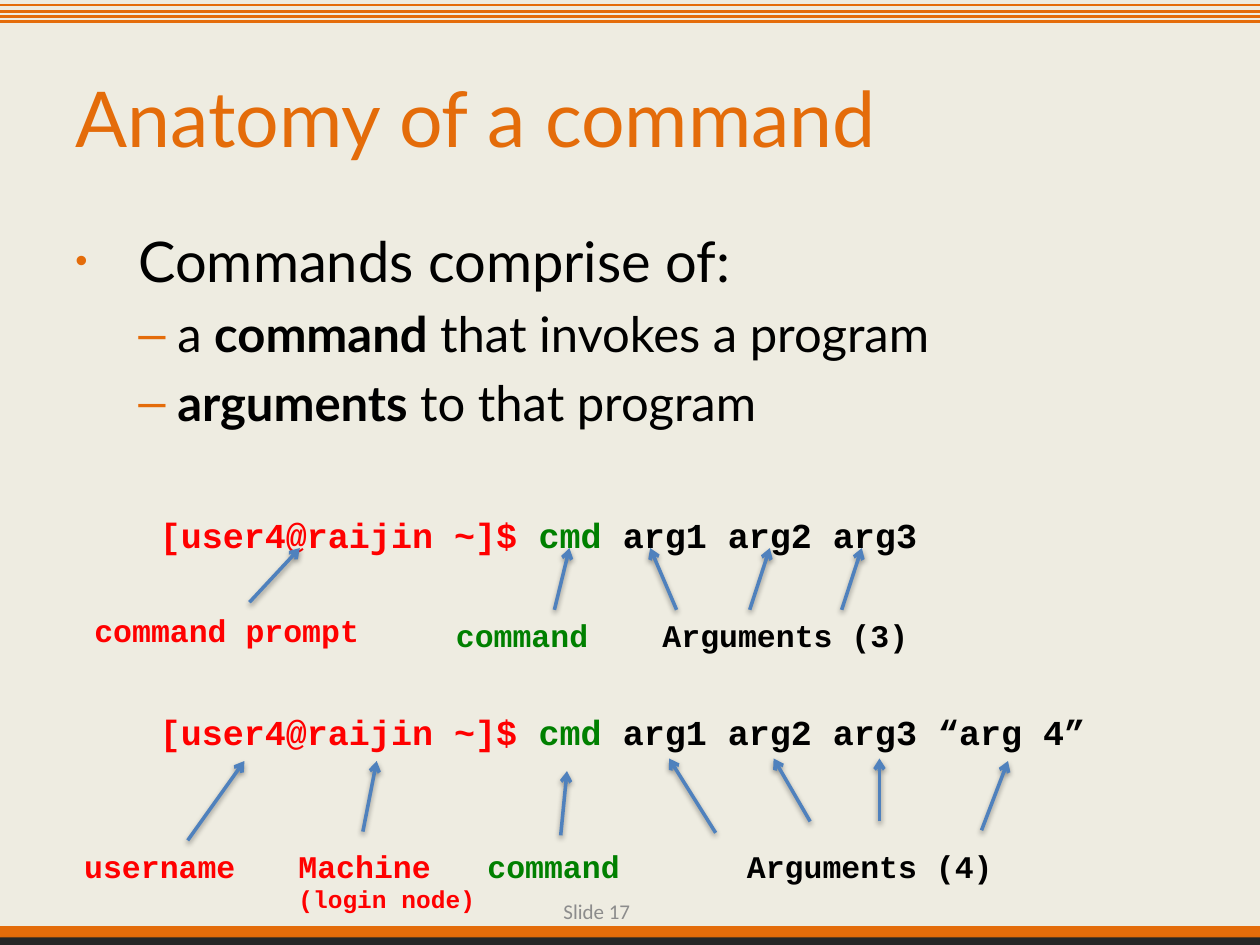
from lxml import etree
from pptx import Presentation
from pptx import util as u
from pptx.dml.color import RGBColor
from pptx.enum import shapes, text
from pptx.oxml import parse_xml
from pptx.oxml.ns import qn

COLOURS = {
    "paper": "EEECE1", "orange": "E46C0A", "dark": "262626", "black": "000000",
    "red": "FF0000", "green": "008000", "blue": "4F81BD", "grey": "8C8C8C",
}
DRAWING = "http://schemas.openxmlformats.org/drawingml/2006/main"


def add_text(place, paragraphs, font, anchor=text.MSO_ANCHOR.TOP, wrap=False):
    """Add a text box; each paragraph is a list of (words, size, colour, bold)."""
    box = page.shapes.add_textbox(*[u.Inches(length) for length in place])
    frame = box.text_frame
    frame.word_wrap = wrap
    frame.vertical_anchor = anchor
    for index, spans in enumerate(paragraphs):
        para = frame.add_paragraph() if index else frame.paragraphs[0]
        for words, size, colour, bold in spans:
            span = para.add_run()
            span.text = words
            span.font.name = font
            span.font.size = u.Pt(size)
            span.font.bold = bold
            span.font.color.rgb = RGBColor.from_string(COLOURS[colour])
    return frame


def add_line(start, end, colour, width, arrow=False):
    """Add a plain line, or an arrow with a soft shadow."""
    ends = [u.Inches(length) for length in (*start, *end)]
    line = page.shapes.add_connector(shapes.MSO_CONNECTOR.STRAIGHT, *ends)
    line.line.color.rgb = RGBColor.from_string(COLOURS[colour])
    line.line.width = u.Pt(width)
    properties = line._element.spPr
    if arrow:
        etree.SubElement(properties.find(qn("a:ln")), qn("a:tailEnd"), type="arrow")
        properties.append(parse_xml(SHADOW.format(distance=20000, alpha=38000)))
    else:
        etree.SubElement(properties, qn("a:effectLst"))


SHADOW = (
    f'<a:effectLst xmlns:a="{DRAWING}">'
    '<a:outerShdw blurRad="40000" dist="{distance}" dir="5400000" rotWithShape="0">'
    '<a:srgbClr val="000000"><a:alpha val="{alpha}"/></a:srgbClr>'
    "</a:outerShdw></a:effectLst>"
)

deck = Presentation()
deck.slide_width, deck.slide_height = u.Inches(10), u.Inches(7.5)
page = deck.slides.add_slide(deck.slide_layouts[6])
page.background.fill.solid()
page.background.fill.fore_color.rgb = RGBColor.from_string(COLOURS["paper"])

# Bands at the top and bottom edges
for top in (0.04, 0.09, 0.13, 0.17):
    add_line((0, top), (10, top), "orange", 1.5)
for top, height, colour in ((7.35, 0.16, "orange"), (7.44, 0.06, "dark")):
    band = page.shapes.add_shape(
        shapes.MSO_SHAPE.RECTANGLE, 0, u.Inches(top), u.Inches(10), u.Inches(height))
    band.shadow.inherit = False
    band.fill.solid()
    band.fill.fore_color.rgb = RGBColor.from_string(COLOURS[colour])
    band.line.fill.background()
# The dark band, drawn last, casts a shadow
band_properties = band._element.spPr
band_properties.remove(band_properties.find(qn("a:effectLst")))
band_properties.append(parse_xml(SHADOW.format(distance=23000, alpha=35000)))

# Title and bullets
add_text((0.5, 0.3, 9, 1.25), [[("Anatomy of a command", 44, "orange", False)]],
         "Lato", text.MSO_ANCHOR.MIDDLE, wrap=True)
bullets = add_text((0.5, 1.75, 9, 1.8), [
    [("Commands comprise of:", 32, "black", False)],
    [("a ", 28, "black", False), ("command", 28, "black", True),
     (" that invokes a program", 28, "black", False)],
    [("arguments", 28, "black", True), (" to that program", 28, "black", False)],
], "Lato", wrap=True)
bullet_styles = [("•", 0.5, 0.5, 62), ("–", 0.81, 0.31, 100), ("–", 0.81, 0.31, 100)]
for para, (mark, margin, hanging, percent) in zip(bullets.paragraphs, bullet_styles):
    layout = para._p.get_or_add_pPr()
    layout.set("marL", str(u.Inches(margin)))
    layout.set("indent", str(-u.Inches(hanging)))
    bullet_colour = etree.SubElement(layout, qn("a:buClr"))
    etree.SubElement(bullet_colour, qn("a:srgbClr"), val=COLOURS["orange"])
    etree.SubElement(layout, qn("a:buSzPct"), val=str(percent * 1000))
    etree.SubElement(layout, qn("a:buFont"), typeface="Arial")
    etree.SubElement(layout, qn("a:buChar"), char=mark)
for para in bullets.paragraphs[1:]:
    para.level = 1
    para.space_before = u.Pt(5.6)

# Example command lines
for top, arguments in ((4.03, "arg1 arg2 arg3"), (5.59, "arg1 arg2 arg3 “arg 4”")):
    add_text((1.17, top, 8, 0.42), [[
        ("[user4@raijin ~]$ ", 20, "red", True),
        ("cmd ", 20, "green", True),
        (arguments, 20, "black", True),
    ]], "Courier New")

# Labels under the command lines
labels = [
    ("command prompt", 0.65, 4.8, 2.48, "red"),
    ("command", 3.52, 4.84, 1.26, "green"),
    ("Arguments (3)", 5.16, 4.84, 2.16, "black"),
    ("username", 0.57, 6.67, 1.44, "red"),
    ("command", 3.77, 6.67, 1.26, "green"),
    ("Arguments (4)", 5.83, 6.67, 2.16, "black"),
]
for words, left, top, width, colour in labels:
    add_text((left, top, width, 0.4), [[(words, 18, colour, True)]], "Courier New")
add_text((2.27, 6.67, 1.78, 0.64),
         [[("Machine", 18, "red", True)], [("(login node)", 14, "red", True)]],
         "Courier New")

# Arrows from each label to its part of the command line
arrows = [
    ((1.98, 4.78), (2.38, 4.35)),
    ((4.4, 4.84), (4.52, 4.35)),
    ((5.37, 4.84), (5.16, 4.35)),
    ((5.95, 4.84), (6.11, 4.35)),
    ((6.68, 4.84), (6.84, 4.35)),
    ((1.49, 6.67), (1.94, 6.04)),
    ((2.88, 6.6), (2.99, 6.04)),
    ((4.45, 6.63), (4.5, 6.12)),
    ((5.68, 6.61), (5.31, 6.02)),
    ((6.43, 6.52), (6.14, 6.02)),
    ((6.98, 6.52), (6.98, 6.02)),
    ((7.79, 6.59), (8, 6.04)),
]
for start, end in arrows:
    add_line(start, end, "blue", 2, arrow=True)

slide_number = add_text((4.11, 7.03, 0.99, 0.4), [[("Slide 17", 12, "grey", False)]],
                        "Calibri", text.MSO_ANCHOR.MIDDLE, wrap=True)
slide_number.paragraphs[0].alignment = text.PP_ALIGN.RIGHT

deck.save("out.pptx")
